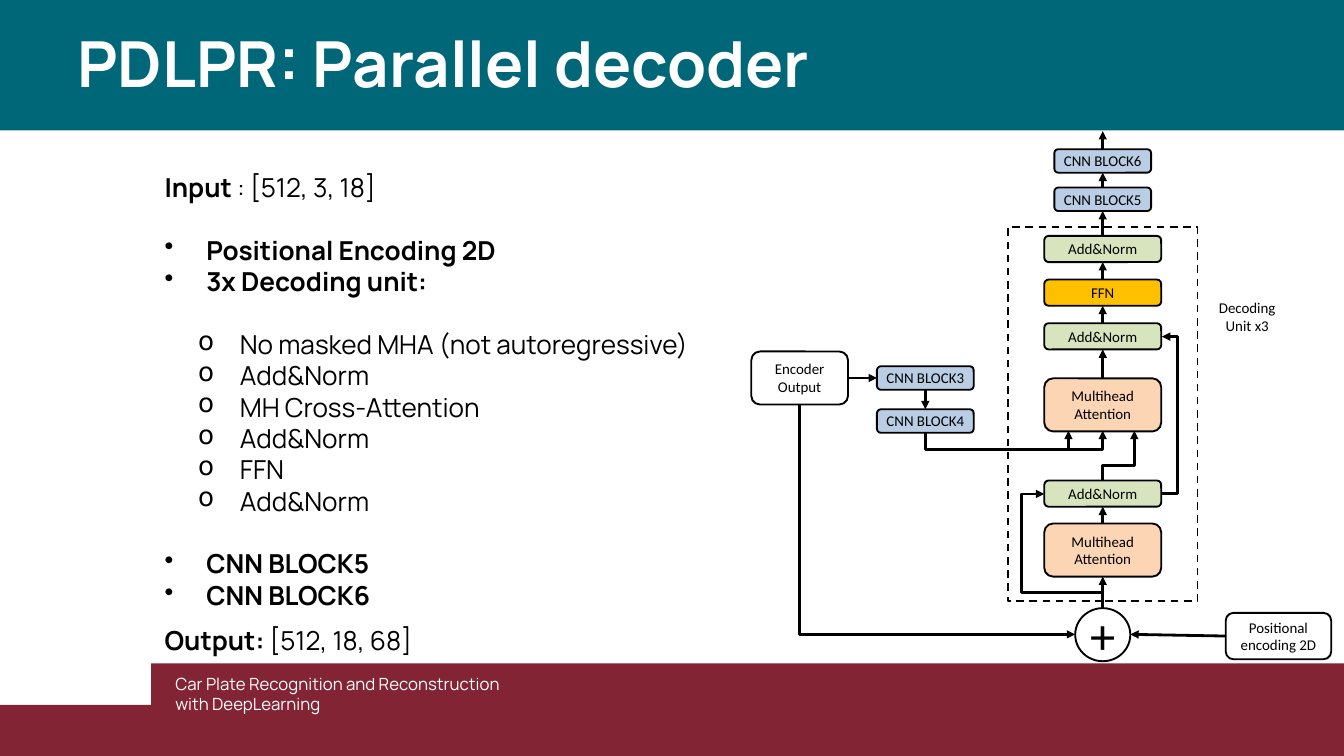
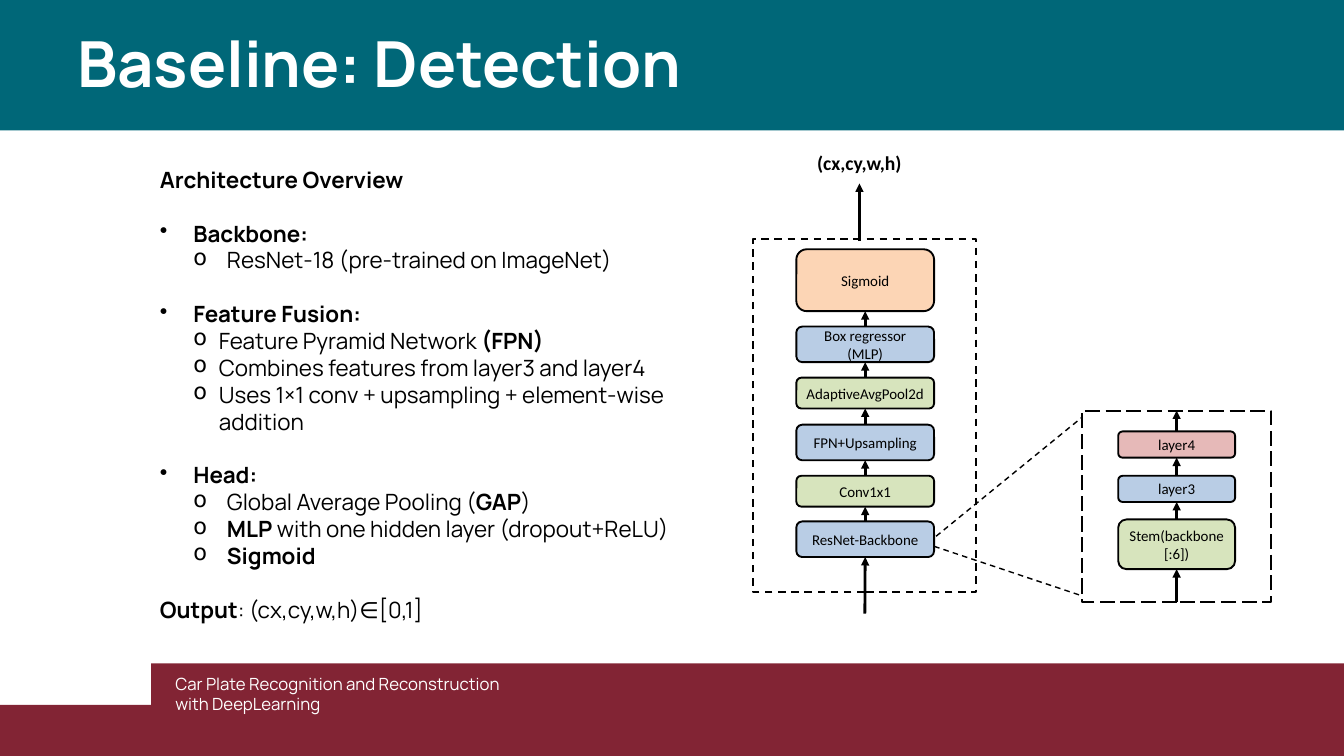
"""Build two slides on a plate recognition network: parallel decoder and detection baseline."""
from dataclasses import dataclass

from lxml import etree
from pptx import Presentation
from pptx import util as u
from pptx.dml.color import RGBColor
from pptx.enum import dml, shapes, text
from pptx.oxml.ns import qn


@dataclass(frozen=True)
class Theme:
    teal: str = "006778"
    maroon: str = "822434"
    white: str = "FFFFFF"
    black: str = "000000"
    blue: str = "B9CDE5"
    green: str = "D7E4BD"
    peach: str = "FCD5B5"
    amber: str = "FFC000"
    pink: str = "E6B9B8"
    heading_font: str = "Manrope"
    diagram_font: str = "Calibri"
    title_size: int = 68
    footer_size: int = 18
    node_size: int = 16
    plus_size: int = 54
    result_size: int = 21
    outline: float = 2
    arrow: float = 3
    zoom: float = 1.5


THEME = Theme()
TOP, LEFT, BOTTOM, RIGHT = range(4)
DASH, LONG_DASH = dml.MSO_LINE.DASH, dml.MSO_LINE.LONG_DASH
FOOTER = "Car Plate Recognition and Reconstruction with DeepLearning"

INDENTS = {
    "plain": None,
    "dot wide": ("•", 0, 0.62, 0.62),
    "ring wide": ("o", 1, 1.12, 0.62),
    "dot": ("•", 0, 0.5, 0.5),
    "ring": ("o", 1, 1, 0.5),
    "ring tight": ("o", 1, 0.88, 0.38),
}

DECODER = {
    "title": "PDLPR: Parallel decoder",
    "body": {
        "at": (2.45, 2.55, 8.83, 7.3), "inset": 0, "size": 28, "last_line": 48.9,
        "lines": [
            ("plain", False, [("Input ", True), (": [512, 3, 18]", False)]),
            ("dot wide", True, [("Positional Encoding 2D", True)]),
            ("dot wide", False, [("3x Decoding unit:", True)]),
            ("ring wide", True, [("No masked MHA (not autoregressive)", False)]),
            ("ring wide", False, [("Add&Norm", False)]),
            ("ring wide", False, [("MH Cross-Attention", False)]),
            ("ring wide", False, [("Add&Norm", False)]),
            ("ring wide", False, [("FFN", False)]),
            ("ring wide", False, [("Add&Norm", False)]),
            ("dot wide", True, [("CNN BLOCK5", True)]),
            ("dot wide", False, [("CNN BLOCK6", True)]),
            ("plain", False, [("Output: ", True), ("[512, 18, 68]", False)]),
        ],
    },
    "frames": {"unit": ((15, 3.38, 2.82, 5.57), DASH)},
    "columns": [
        (18.24, 1.57, [("position", "Positional encoding 2D", THEME.white, 9.12, 0.69)]),
        (11.18, 1.44, [("encoder", "Encoder Output", THEME.white, 5.23, 0.79)]),
        (13.05, 1.44, [("block3", "CNN BLOCK3", THEME.blue, 5.45, 0.35),
                       ("block4", "CNN BLOCK4", THEME.blue, 6.09, 0.35)]),
        (15.54, 1.74, [("self attention", "Multihead Attention", THEME.peach, 7.79, 0.79),
                       ("norm1", "Add&Norm", THEME.green, 7.15, 0.39),
                       ("cross attention", "Multihead Attention", THEME.peach, 5.63, 0.79),
                       ("norm2", "Add&Norm", THEME.green, 4.81, 0.39),
                       ("ffn", "FFN", THEME.amber, 4.16, 0.39),
                       ("norm3", "Add&Norm", THEME.green, 3.51, 0.39)]),
        (15.69, 1.44, [("block5", "CNN BLOCK5", THEME.blue, 2.79, 0.35),
                       ("block6", "CNN BLOCK6", THEME.blue, 2.22, 0.35)]),
    ],
    "chains": [("self attention", "norm1"),
               ("cross attention", "norm2", "ffn", "norm3", "block5", "block6")],
    "links": [
        (("position", LEFT), (16.82, 9.44)),
        (("encoder", RIGHT), ("block3", LEFT)),
        (("block3", BOTTOM), ("block4", TOP)),
        ((16.41, 9.05), ("self attention", BOTTOM)),
        ((15.9, 6.67), (15.9, 6.41)),
        (("block6", TOP), (16.41, 1.95)),
    ],
    "elbows": [
        ((11.9, 6.02), (16, 9.44), True, []),
        ((16.41, 7.15), (16.88, 6.41), True, [6.93]),
        ((17.28, 7.35), (17.29, 5.01), False, [17.53]),
        ((13.77, 6.44), (16.41, 6.41), True, [6.69]),
        ((16.41, 8.95), (15.54, 7.35), True, [8.82, 15.2]),
    ],
}

DETECTION = {
    "title": "Baseline: Detection",
    "body": {
        "at": (2.28, 2.42, 8.36, 6.97), "inset": 0.1, "size": 24, "last_line": None,
        "lines": [
            ("plain", False, [("Architecture Overview", True)]),
            ("dot", True, [("Backbone:", True)]),
            ("ring", False, [("ResNet-18 (pre-trained on ImageNet)", False)]),
            ("dot", True, [("Feature Fusion:", True)]),
            ("ring tight", False, [("Feature Pyramid Network", False), (" (FPN)", True)]),
            ("ring tight", False, [("Combines features from layer3 and layer4", False)]),
            ("ring tight", False,
             [("Uses 1×1 conv + upsampling + element-wise addition", False)]),
            ("dot", True, [("Head:", True)]),
            ("ring", False, [("Global Average Pooling (", False), ("GAP", True), (")", False)]),
            ("ring", False,
             [("MLP", True), (" with one hidden layer (dropout+ReLU)", False)]),
            ("ring", False, [("Sigmoid", True)]),
            ("plain", True, [("Output", True), (": (cx,cy,w,h)∈[0,1]", False)]),
        ],
    },
    "frames": {"model": ((11.2, 3.56, 3.33, 5.25), DASH),
               "backbone": ((16.1, 6.11, 2.82, 2.85), LONG_DASH)},
    "columns": [
        (11.85, 2.05, [("resnet", "ResNet-Backbone", THEME.blue, 7.76, 0.53),
                       ("conv", "Conv1x1", THEME.green, 7.08, 0.46),
                       ("fpn", "FPN+Upsampling", THEME.blue, 6.32, 0.53),
                       ("pool", "AdaptiveAvgPool2d", THEME.green, 5.62, 0.46),
                       ("regressor", "Box regressor (MLP)", THEME.blue, 4.86, 0.53),
                       ("sigmoid", "Sigmoid", THEME.peach, 3.71, 0.92)]),
        (16.64, 1.74, [("stem", "Stem(backbone[:6])", THEME.green, 7.73, 0.74),
                       ("layer3", "layer3", THEME.blue, 7.08, 0.39),
                       ("layer4", "layer4", THEME.pink, 6.42, 0.39)]),
    ],
    "chains": [("resnet", "conv", "fpn", "pool", "regressor", "sigmoid"),
               ("stem", "layer3", "layer4")],
    "links": [
        ((12.87, 9.13), ("resnet", BOTTOM)),
        ((12.79, 3.59), (12.79, 2.73)),
        (("backbone", BOTTOM), ("stem", BOTTOM)),
        (("layer4", TOP), ("backbone", TOP)),
    ],
    "elbows": [],
}
ZOOM_LINES = [((13.93, 7.98), (16.09, 6.22)), ((13.9, 8.13), (16.11, 8.87))]


def inches(values):
    return [u.Inches(value) for value in values]


def add_span(para, words, size, color, font, bold=False):
    span = para.add_run()
    span.text = words
    span.font.size, span.font.name, span.font.bold = u.Pt(size), font, bold
    span.font.color.rgb = RGBColor.from_string(color)


def add_box(page, kind, at, fill, outline=None, dash=None):
    box = page.shapes.add_shape(kind, *inches(at))
    box.shadow.inherit = False
    box.fill.solid()
    box.fill.fore_color.rgb = RGBColor.from_string(fill)
    if outline is None:
        box.line.fill.background()
        return box
    box.line.color.rgb = RGBColor.from_string(THEME.black)
    box.line.width = u.Pt(outline)
    if dash:
        box.line.dash_style = dash
    return box


def add_node(page, kind, at, label, fill, size=THEME.node_size):
    box = add_box(page, kind, at, fill, THEME.outline)
    box.text_frame.word_wrap = True
    para = box.text_frame.paragraphs[0]
    para.alignment = text.PP_ALIGN.CENTER
    add_span(para, label, size, THEME.black, THEME.diagram_font)
    return box


def add_text(page, at, inset=0, wrap=True):
    frame = page.shapes.add_textbox(*inches(at)).text_frame
    frame.word_wrap = wrap
    if inset == 0:
        frame.margin_left = frame.margin_right = frame.margin_top = frame.margin_bottom = 0
    return frame


def next_para(frame, index):
    return frame.add_paragraph() if index else frame.paragraphs[0]


def finish_line(line, width, dash=None, arrow=True):
    line.line.color.rgb = RGBColor.from_string(THEME.black)
    line.line.width = u.Pt(width)
    if dash:
        line.line.dash_style = dash
    properties = line.element.spPr
    if arrow:
        etree.SubElement(properties.find(qn("a:ln")), qn("a:tailEnd"), type="triangle")
    etree.SubElement(properties, qn("a:effectLst"))


def add_link(page, nodes, start, end):
    joined = [isinstance(stop[0], str) for stop in (start, end)]
    points = [(0, 0) if join else stop for join, stop in zip(joined, (start, end))]
    line = page.shapes.add_connector(
        shapes.MSO_CONNECTOR.STRAIGHT, *inches(points[0] + points[1]))
    if joined[0]:
        line.begin_connect(nodes[start[0]], start[1])
    if joined[1]:
        line.end_connect(nodes[end[0]], end[1])
    finish_line(line, THEME.arrow)


def add_elbow(page, start, end, vertical, bends):
    delta = [end[0] - start[0], end[1] - start[1]]
    across, down = (delta[1], -delta[0]) if vertical else delta
    middle = [(a + b) / 2 for a, b in zip(start, end)]
    line = page.shapes.add_connector(shapes.MSO_CONNECTOR.ELBOW, *inches(
        (middle[0] - across / 2, middle[1] - down / 2,
         middle[0] + across / 2, middle[1] + down / 2)))
    properties = line.element.spPr
    if vertical:
        properties.find(qn("a:xfrm")).set("rot", str(90 * 60000))
    geometry = properties.find(qn("a:prstGeom"))
    geometry.set("prst", f"bentConnector{len(bends) + 2}")
    guides = geometry.find(qn("a:avLst"))
    for index, bend in enumerate(bends):
        axis = (index + vertical) % 2
        share = round((bend - start[axis]) / delta[axis] * 100000)
        etree.SubElement(guides, qn("a:gd"), name=f"adj{index + 1}", fmla=f"val {share}")
    finish_line(line, THEME.arrow)


def add_body(page, at, inset, size, last_line, lines):
    frame = add_text(page, at, inset)
    for index, (style, gap, spans) in enumerate(lines):
        para = next_para(frame, index)
        if gap:
            para.space_before = u.Pt(size * 1.2)
        if last_line and index == len(lines) - 1:
            para.line_spacing = u.Pt(last_line)
        if INDENTS[style]:
            mark, para.level, margin, hang = INDENTS[style]
            properties = para._p.get_or_add_pPr()
            properties.set("marL", str(u.Inches(margin)))
            properties.set("indent", str(-u.Inches(hang)))
            etree.SubElement(properties, qn("a:buChar"), char=mark)
        for words, bold in spans:
            add_span(para, words, size, THEME.black, THEME.heading_font, bold)


def add_page(deck, content):
    page = deck.slides.add_slide(deck.slide_layouts[6])
    rectangle = shapes.MSO_SHAPE.RECTANGLE
    for at, fill in (((0, 10.49, 17.75, 0.76), THEME.maroon),
                     ((2.25, 9.87, 17.75, 1.38), THEME.maroon),
                     ((0, -0.02, 20, 1.96), THEME.teal)):
        add_box(page, rectangle, at, fill)
    footer = add_text(page, (2.61, 10.02, 5, 0.61)).paragraphs[0]
    add_span(footer, FOOTER, THEME.footer_size, THEME.white, THEME.heading_font)
    title = add_text(page, (1.15, 0.46, 14.35, 1.06)).paragraphs[0]
    title.line_spacing = u.Pt(74.8)
    add_span(title, content["title"], THEME.title_size, THEME.white, THEME.heading_font, True)
    add_body(page, **content["body"])

    nodes = {name: add_box(page, rectangle, at, THEME.white, THEME.outline, dash)
             for name, (at, dash) in content["frames"].items()}
    for left, width, rows in content["columns"]:
        for name, label, fill, top, height in rows:
            nodes[name] = add_node(page, shapes.MSO_SHAPE.ROUNDED_RECTANGLE,
                                   (left, top, width, height), label, fill)
    for chain in content["chains"]:
        for lower, upper in zip(chain, chain[1:]):
            add_link(page, nodes, (lower, TOP), (upper, BOTTOM))
    for start, end in content["links"]:
        add_link(page, nodes, start, end)
    for elbow in content["elbows"]:
        add_elbow(page, *elbow)
    return page


def main():
    deck = Presentation()
    deck.slide_width, deck.slide_height = inches((20, 11.25))

    decoder = add_page(deck, DECODER)
    add_node(decoder, shapes.MSO_SHAPE.OVAL, (16, 9.05, 0.82, 0.79), "+",
             THEME.white, THEME.plus_size)
    label = add_text(decoder, (18.03, 4.4, 1.06, 0.64), 0.1, wrap=False)
    for index, words in enumerate(("Decoding", "Unit x3")):
        para = next_para(label, index)
        para.alignment = text.PP_ALIGN.CENTER
        add_span(para, words, THEME.node_size, THEME.black, THEME.diagram_font)

    detection = add_page(deck, DETECTION)
    for start, end in ZOOM_LINES:
        line = detection.shapes.add_connector(
            shapes.MSO_CONNECTOR.STRAIGHT, *inches(start + end))
        finish_line(line, THEME.zoom, DASH, arrow=False)
    result = add_text(detection, (12.06, 2.2, 2.86, 0.45), 0.1).paragraphs[0]
    add_span(result, "(cx,cy,w,h)", THEME.result_size, THEME.black, THEME.diagram_font, True)

    deck.save("out.pptx")


if __name__ == "__main__":
    main()
